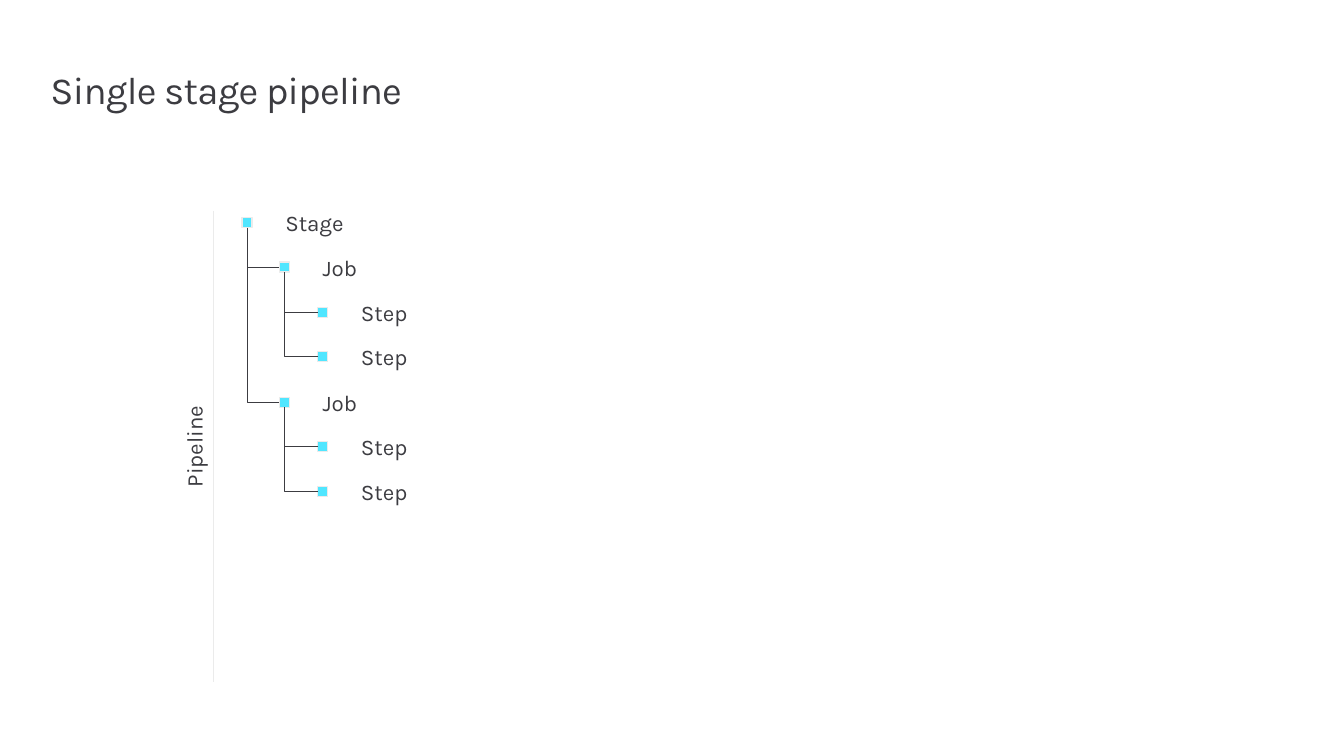
from pptx import Presentation
from pptx.dml.color import RGBColor
from pptx.enum import shapes, text
from pptx.oxml import ns
from pptx.util import Pt
from lxml import etree

PX = 9144  # 100 px to the inch
FONT = "Karla"
COLORS = {"ink": "3C3C41", "marker": "50E6FF", "rule": "EBEBEB"}
# Each entry is its level in the tree and its label
TREE = [(0, "Stage"), (1, "Job"), (2, "Step"), (2, "Step"),
        (1, "Job"), (2, "Step"), (2, "Step")]
MARKER = 10
LABEL_WIDTH, LABEL_HEIGHT = 200, 30


def color(name):
    return RGBColor.from_string(COLORS[name])


def add_text(page, area, words, size=16, insets=(5, 0, 5, 0),
             anchor=text.MSO_ANCHOR.MIDDLE):
    box = page.shapes.add_textbox(*[n * PX for n in area])
    frame = box.text_frame
    frame.word_wrap = True
    frame.vertical_anchor = anchor
    (frame.margin_left, frame.margin_top,
     frame.margin_right, frame.margin_bottom) = [n * PX for n in insets]
    span = frame.paragraphs[0].add_run()
    span.text = words
    span.font.name = FONT
    span.font.size = Pt(size)
    span.font.color.rgb = color("ink")
    return box


def add_line(page, kind, ends, line_color):
    line = page.shapes.add_connector(kind, *[n * PX for n in ends])
    line.line.color.rgb = color(line_color)
    line.line.width = Pt(0.75)
    etree.SubElement(line._element.spPr, ns.qn("a:effectLst"))
    return line


def add_marker(page, left, top):
    marker = page.shapes.add_shape(shapes.MSO_SHAPE.RECTANGLE, left * PX,
                                   top * PX, MARKER * PX, MARKER * PX)
    marker.shadow.inherit = False
    marker.fill.solid()
    marker.fill.fore_color.rgb = color("marker")
    marker.line.color.rgb = color("rule")
    marker.line.width = Pt(0.85)
    return marker


def add_branch(page, parent, child):
    """Run down from the parent's bottom, then right to the child's left."""
    branch = add_line(page, shapes.MSO_CONNECTOR.ELBOW, (0, 0, 1, 1), "ink")
    branch.begin_connect(parent, 2)
    branch.end_connect(child, 1)
    # A single-bend connector is stored as a quarter-turned, mirrored frame
    left, top, across, down = (branch.left, branch.top,
                               branch.width, branch.height)
    branch.left = left + (across - down) // 2
    branch.top = top + (down - across) // 2
    branch.width, branch.height = down, across
    properties = branch._element.spPr
    properties.find(ns.qn("a:prstGeom")).set("prst", "bentConnector2")
    frame = properties.find(ns.qn("a:xfrm"))
    frame.set("rot", "16200000")
    frame.set("flipH", "1")


def draw_title(page, area):
    box = add_text(page, area, "Single stage pipeline", 27.4,
                   (0, 10, 16, 10), text.MSO_ANCHOR.TOP)
    para = box.text_frame.paragraphs[0]
    para.line_spacing = 0.9
    para.runs[0].font._element.set("spc", "-50")


def draw_pipeline_rail(page, area):
    left, top, width, height = area
    right = left + width
    add_line(page, shapes.MSO_CONNECTOR.STRAIGHT,
             (right, top, right, top + height), "rule")
    # Vertical label, centred beside the rule
    label = add_text(page, (left - 85, top + height // 2 - LABEL_HEIGHT // 2,
                            LABEL_WIDTH, LABEL_HEIGHT), "Pipeline")
    label.rotation = 270
    label.text_frame.paragraphs[0].alignment = text.PP_ALIGN.CENTER


def draw_tree(page, area):
    left, top, width, height = area
    ancestors, branches = {}, []
    # Markers and labels
    for row, (level, words) in enumerate(TREE):
        x = left + level * width // 2
        y = top + row * height // (len(TREE) - 1)
        marker = add_marker(page, x, y)
        add_text(page, (x + 38, y - 10, LABEL_WIDTH, LABEL_HEIGHT), words)
        ancestors[level] = marker
        if level:
            branches.append((ancestors[level - 1], marker))
    # Branches
    for parent, child in branches:
        add_branch(page, parent, child)


def main():
    deck = Presentation()
    deck.slide_width, deck.slide_height = 1333 * PX, 750 * PX
    page = deck.slides.add_slide(deck.slide_layouts[6])
    draw_pipeline_rail(page, (177, 209, 35, 468))
    draw_tree(page, (240, 216, 75, 267))
    draw_title(page, (50, 61, 1236, 89))
    deck.save("out.pptx")


if __name__ == "__main__":
    main()
